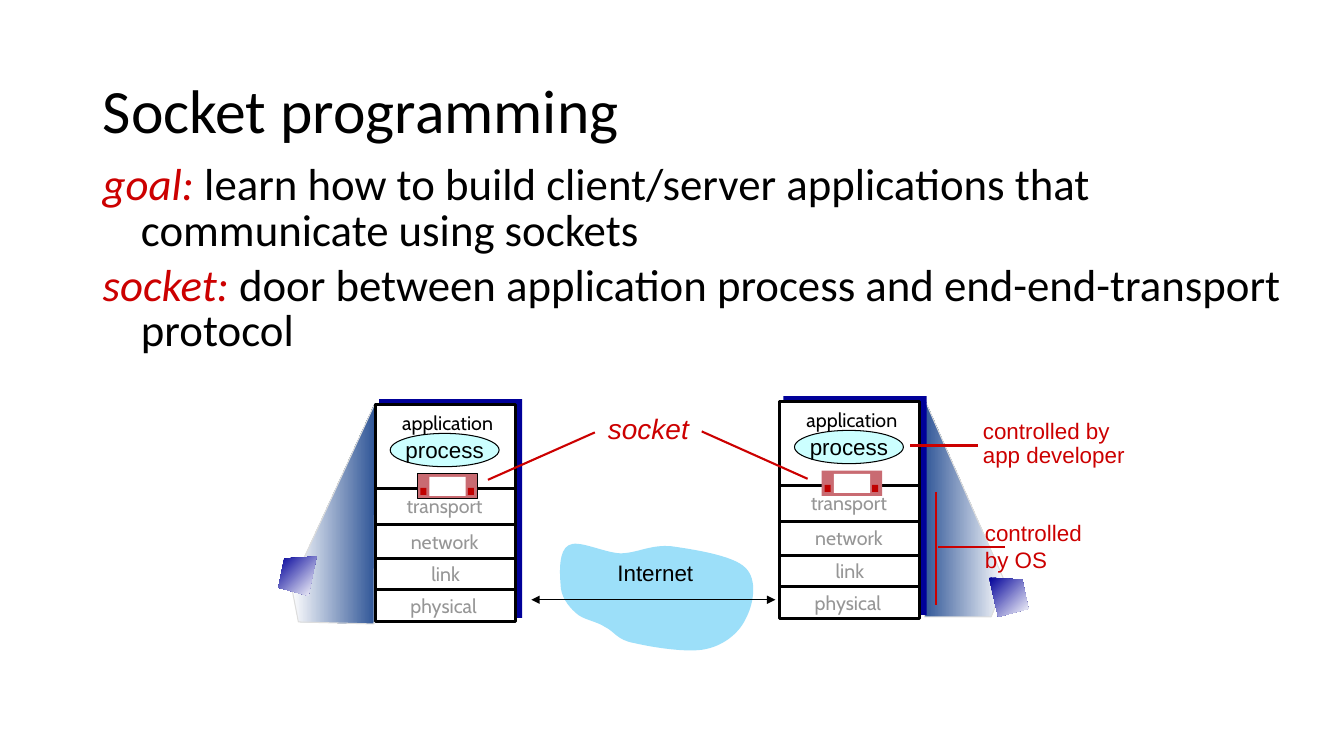
from dataclasses import dataclass
from itertools import chain

import pptx
import pptx.dml.color
import pptx.enum.shapes
import pptx.enum.text
import pptx.oxml
import pptx.oxml.ns
import pptx.util
from pptx.util import Inches

SHAPE = pptx.enum.shapes.MSO_SHAPE
ALIGN = pptx.enum.text.PP_ALIGN
ANCHOR = pptx.enum.text.MSO_ANCHOR
DRAWING_NS = pptx.oxml.ns.nsdecls("a")


@dataclass(frozen=True)
class Theme:
    black: str = "000000"
    white: str = "FFFFFF"
    red: str = "CC0000"
    knob: str = "C00000"
    door: str = "C96B72"
    navy: str = "000099"
    beam: str = "2F5597"
    beam_edge: str = "DDDDDD"
    cloud: str = "9CDFF9"
    process: str = "CCFFFF"
    muted: str = "969696"
    heading_font: str = "Calibri"
    label_font: str = "Arial"
    layer_font: str = "Cabin"
    title_size: int = 44
    body_size: int = 32
    socket_size: int = 20
    label_size: int = 16
    layer_size: int = 14
    thin: float = 0.75
    medium: float = 1.5
    thick: float = 2.25


THEME = Theme()

LAYERS = [
    ("application", 0, -0.01, THEME.black),
    ("transport", -0.03, 0.82, THEME.muted),
    ("network", -0.03, 1.17, THEME.muted),
    ("link", -0.02, 1.49, THEME.muted),
    ("physical", -0.04, 1.81, THEME.muted),
]
DIVIDERS = [0.84, 1.19, 1.53, 1.84]
HOSTS = [(3.72, 4.01), (7.73, 3.98)]

CLOUD_START = (5.56, 5.8)
CLOUD_CURVES = [
    ((5.55, 5.68), (5.54, 5.46), (5.64, 5.41)),
    ((5.73, 5.35), (5.98, 5.48), (6.15, 5.49)),
    ((6.32, 5.49), (6.45, 5.4), (6.66, 5.42)),
    ((6.87, 5.45), (7.27, 5.51), (7.39, 5.63)),
    ((7.52, 5.75), (7.47, 6), (7.4, 6.13)),
    ((7.34, 6.27), (7.19, 6.4), (7, 6.44)),
    ((6.82, 6.48), (6.46, 6.42), (6.29, 6.38)),
    ((6.12, 6.35), (6.1, 6.27), (6, 6.22)),
    ((5.91, 6.16), (5.78, 6.15), (5.71, 6.08)),
    ((5.63, 6.01), (5.56, 5.91), (5.56, 5.8)),
]


def rgb(color):
    return pptx.dml.color.RGBColor.from_string(color)


def style_run(run, font, size, color, italic=False):
    run.font.name = font
    run.font.size = pptx.util.Pt(size)
    run.font.color.rgb = rgb(color)
    run.font.italic = italic


def set_outline(shape, color, width):
    if color is None:
        shape.line.fill.background()
    else:
        shape.line.color.rgb = rgb(color)
        shape.line.width = pptx.util.Pt(width)


def add_block(shapes, kind, left, top, width, height, fill, outline=None, weight=THEME.thin):
    block = shapes.add_shape(kind, Inches(left), Inches(top), Inches(width), Inches(height))
    block.shadow.inherit = False
    block.fill.solid()
    block.fill.fore_color.rgb = rgb(fill)
    set_outline(block, outline, weight)
    return block


def add_outline_shape(shapes, points, outline=None):
    corners = [(Inches(x), Inches(y)) for x, y in points]
    builder = shapes.build_freeform(*corners[0])
    builder.add_line_segments(corners[1:], close=True)
    polygon = builder.convert_to_shape()
    polygon.shadow.inherit = False
    set_outline(polygon, outline, THEME.thin)
    return polygon


def add_gradient_shape(shapes, points, colors, angle, outline=None):
    polygon = add_outline_shape(shapes, points, outline)
    polygon.fill.gradient()
    polygon.fill.gradient_angle = angle
    for stop, color in zip(polygon.fill.gradient_stops, colors):
        stop.color.rgb = rgb(color)


def add_line(shapes, start, end, color, width, arrows=False):
    line = shapes.add_connector(pptx.enum.shapes.MSO_CONNECTOR.STRAIGHT,
                                *map(Inches, start + end))
    set_outline(line, color, width)
    if arrows:
        stroke = line._element.spPr.find(pptx.oxml.ns.qn("a:ln"))
        for tag in ("a:headEnd", "a:tailEnd"):
            stroke.append(pptx.oxml.parse_xml(f'<{tag} {DRAWING_NS} type="triangle"/>'))
    line._element.spPr.append(pptx.oxml.parse_xml(f"<a:effectLst {DRAWING_NS}/>"))


def add_label(shapes, box, lines, font, size, color, align=ALIGN.LEFT,
              spacing=1.0, italic=False, wrap=False):
    label = shapes.add_textbox(*map(Inches, box))
    frame = label.text_frame
    frame.text = "\n".join(lines)
    frame.word_wrap = wrap
    frame.auto_size = pptx.enum.text.MSO_AUTO_SIZE.SHAPE_TO_FIT_TEXT
    for paragraph in frame.paragraphs:
        paragraph.alignment = align
        paragraph.line_spacing = spacing
        style_run(paragraph.runs[0], font, size, color, italic)


def add_title(slide, text):
    title = slide.shapes.title
    title.left, title.top, title.width, title.height = map(Inches, (0.92, 0.4, 11.5, 1.45))
    title.text_frame.text = text
    title.text_frame.vertical_anchor = ANCHOR.MIDDLE
    paragraph = title.text_frame.paragraphs[0]
    paragraph.alignment = ALIGN.LEFT
    paragraph.line_spacing = 0.9
    style_run(paragraph.runs[0], THEME.heading_font, THEME.title_size, THEME.black)


def add_definitions(shapes, definitions):
    frame = shapes.add_textbox(*map(Inches, (0.92, 1.58, 12.17, 1.68))).text_frame
    frame.word_wrap = True
    for index, (term, meaning) in enumerate(definitions):
        paragraph = frame.add_paragraph() if index else frame.paragraphs[0]
        paragraph.line_spacing = 0.85
        paragraph.space_before = pptx.util.Pt(6.4 if index else 0)
        properties = paragraph._p.get_or_add_pPr()
        properties.set("marL", str(Inches(0.38)))
        properties.set("indent", str(Inches(-0.38)))
        for text, color, italic in ((term, THEME.red, True), (meaning, THEME.black, False)):
            run = paragraph.add_run()
            run.text = text
            style_run(run, THEME.heading_font, THEME.body_size, color, italic)


def add_cloud(shapes):
    cloud = add_outline_shape(shapes, [CLOUD_START, *chain.from_iterable(CLOUD_CURVES)])
    cloud.fill.solid()
    cloud.fill.fore_color.rgb = rgb(THEME.cloud)
    segments = list(cloud._element.iter(pptx.oxml.ns.qn("a:lnTo")))
    for first in range(0, len(segments), 3):
        curve = pptx.oxml.parse_xml(f"<a:cubicBezTo {DRAWING_NS}/>")
        segments[first].addprevious(curve)
        for segment in segments[first:first + 3]:
            curve.append(segment[0])
            segment.getparent().remove(segment)


def add_host(shapes, left, top):
    add_block(shapes, SHAPE.RECTANGLE, left + 0.04, top - 0.05, 1.42, 2.17, THEME.navy)
    add_block(shapes, SHAPE.RECTANGLE, left, top, 1.39, 2.16, THEME.white,
              THEME.black, THEME.thick)
    for drop in DIVIDERS:
        add_line(shapes, (left + 0.01, top + drop), (left + 1.4, top + drop),
                 THEME.black, THEME.thick)
    for name, shift, drop, color in LAYERS:
        add_label(shapes, (left + shift, top + drop, 1.44, 0.36), [name], THEME.layer_font,
                  THEME.layer_size, color, ALIGN.CENTER, 1.1, wrap=True)
    process = add_block(shapes, SHAPE.OVAL, left + 0.15, top + 0.29, 1.08, 0.33,
                        THEME.process, THEME.black)
    process.text_frame.text = "process"
    process.text_frame.word_wrap = False
    process.text_frame.vertical_anchor = ANCHOR.MIDDLE
    paragraph = process.text_frame.paragraphs[0]
    paragraph.alignment = ALIGN.CENTER
    style_run(paragraph.runs[0], THEME.label_font, THEME.label_size, THEME.black)


def add_door(shapes, left, top, outline):
    add_block(shapes, SHAPE.RECTANGLE, left, top, 0.6, 0.25, THEME.door, outline)
    add_block(shapes, SHAPE.RECTANGLE, left + 0.12, top + 0.03, 0.36, 0.19, THEME.white)
    for shift in (0.03, 0.5):
        add_block(shapes, SHAPE.RECTANGLE, left + shift, top + 0.14, 0.06, 0.07, THEME.knob)


def main():
    deck = pptx.Presentation()
    deck.slide_width, deck.slide_height = Inches(13.33), Inches(7.5)
    slide = deck.slides.add_slide(deck.slide_layouts[5])
    shapes = slide.shapes
    add_title(slide, "Socket programming")
    add_definitions(shapes, [
        ("goal:", " learn how to build client/server applications that communicate using sockets"),
        ("socket:", " door between application process and end-end-transport protocol"),
    ])

    beam_colors = (THEME.white, THEME.beam)
    add_gradient_shape(shapes, [(9.97, 5.78), (9.16, 3.94), (9.17, 6.12), (9.83, 6.12)],
                       beam_colors, 180, THEME.beam_edge)
    add_cloud(shapes)
    add_label(shapes, (6.02, 5.5, 0.96, 0.37), ["Internet"], THEME.label_font,
              THEME.label_size, THEME.black, ALIGN.CENTER)
    add_line(shapes, (5.27, 5.95), (7.69, 5.95), THEME.black, THEME.thin, arrows=True)
    add_label(shapes, (9.67, 5.1, 1.16, 0.9), ["controlled", "by OS"],
              THEME.label_font, THEME.label_size, THEME.red)
    add_label(shapes, (9.65, 4.12, 1.61, 0.58), ["controlled by", "app developer"],
              THEME.label_font, THEME.label_size, THEME.red, spacing=0.9)
    add_gradient_shape(shapes, [(2.89, 5.81), (3.72, 4), (3.71, 6.19), (2.96, 6.17)],
                       beam_colors, 0, THEME.beam_edge)

    for left, top in HOSTS:
        add_host(shapes, left, top)
    for start, end in (((9.7, 4.42), (9.03, 4.42)), ((9.28, 4.88), (9.28, 6)),
                       ((9.97, 5.43), (9.3, 5.43))):
        add_line(shapes, start, end, THEME.red, THEME.medium)

    sockets = shapes.add_group_shape().shapes
    for (left, top), outline in zip(HOSTS, (THEME.black, None)):
        add_door(sockets, left + 0.42, top + 0.69, outline)
    add_label(sockets, (5.93, 4.07, 1.1, 0.4), ["socket"], THEME.label_font,
              THEME.socket_size, THEME.red, spacing=0.9, italic=True)
    for start, end in (((4.84, 4.76), (5.9, 4.29)), ((8.01, 4.75), (6.96, 4.28))):
        add_line(sockets, start, end, THEME.red, THEME.medium)

    for screen in ([(3.14, 5.52), (2.82, 5.54), (2.76, 5.83), (3.06, 5.91)],
                   [(9.81, 5.73), (10.14, 5.75), (10.2, 6.04), (9.9, 6.12)]):
        add_gradient_shape(shapes, screen, (THEME.navy, THEME.white), 315)
    deck.save("out.pptx")


if __name__ == "__main__":
    main()
